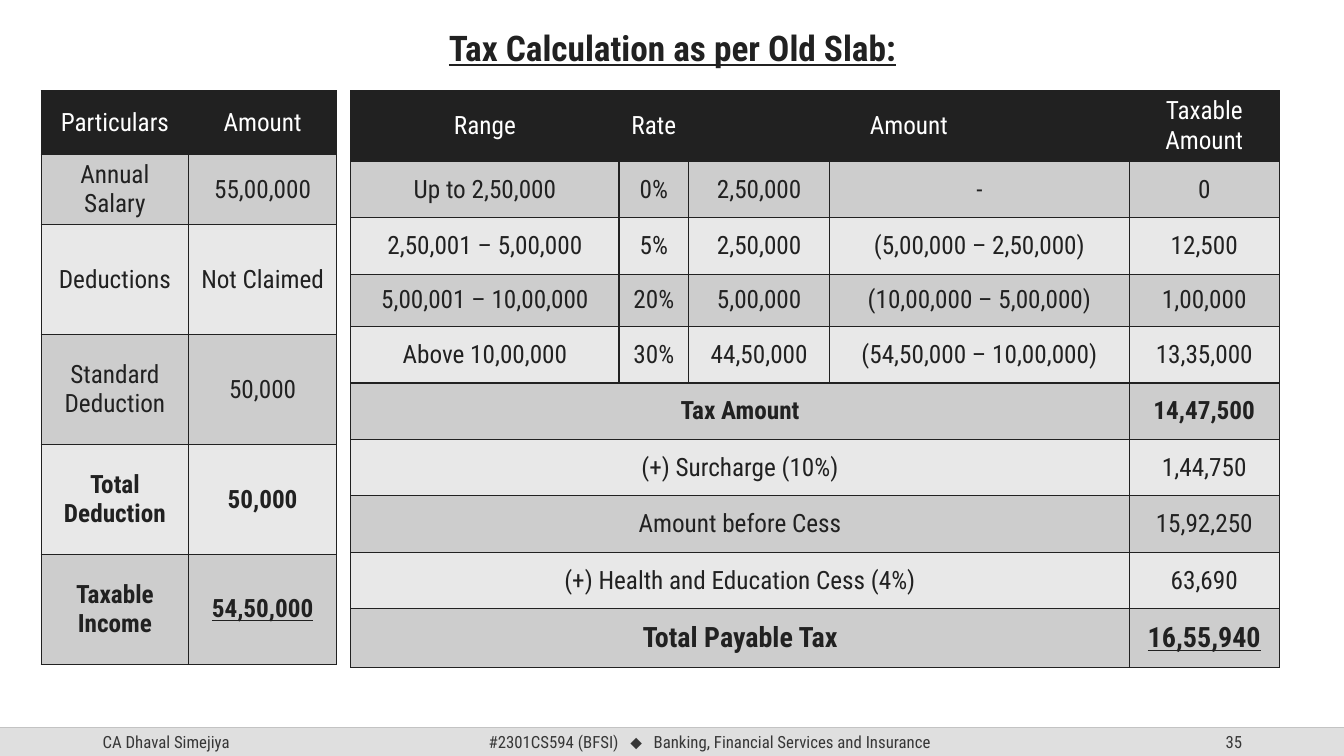
from dataclasses import dataclass

from lxml import etree
from pptx import Presentation
from pptx.dml.color import RGBColor
from pptx.enum.shapes import MSO_CONNECTOR, MSO_SHAPE
from pptx.enum.text import MSO_ANCHOR, MSO_AUTO_SIZE, PP_ALIGN
from pptx.oxml.ns import qn
from pptx.util import Inches, Pt

LEFT, CENTER, RIGHT = PP_ALIGN.LEFT, PP_ALIGN.CENTER, PP_ALIGN.RIGHT
MIDDLE, BOTTOM = MSO_ANCHOR.MIDDLE, MSO_ANCHOR.BOTTOM
NO_AUTOFIT = MSO_AUTO_SIZE.NONE
RECTANGLE, STRAIGHT = MSO_SHAPE.RECTANGLE, MSO_CONNECTOR.STRAIGHT

WIDTH, HEIGHT = 13.33, 7.5
MARGIN = 0.92
TABLE_TOP = 0.9
FOOTER_HEIGHT = 0.28
FOOTER_TOP = HEIGHT - FOOTER_HEIGHT


@dataclass(frozen=True)
class Theme:
    font: str = "Roboto Condensed"
    symbol_font: str = "Arial"
    ink: str = "212121"
    white: str = "FFFFFF"
    dark_band: str = "CDCDCD"
    light_band: str = "E8E8E8"
    footer_fill: str = "DFDFDF"
    footer_ink: str = "373737"
    footer_line: str = "BFBFBF"
    title_size: float = 25.2
    body_size: float = 18
    total_size: float = 20
    footer_size: float = 12


THEME = Theme()

INCOME_COLUMNS = [1.46, 1.47]
INCOME_HEIGHTS = [0.63] * 2 + [1.09] * 4
INCOME_ROWS = [
    ["Particulars", "Amount"],
    ["Annual Salary", "55,00,000"],
    ["Deductions", "Not Claimed"],
    ["Standard Deduction", "50,000"],
    ["Total Deduction", "50,000"],
    ["Taxable Income", "54,50,000"],
]

# None continues the cell on its left.
TAX_COLUMNS = [2.66, 0.69, 1.4, 2.97, 1.49]
TAX_HEIGHTS = [0.68, 0.56, 0.56, 0.52] + [0.56] * 5 + [0.58]
TAX_ROWS = [
    ["Range", "Rate", "Amount", None, "Taxable Amount"],
    ["Up to 2,50,000", "0%", "2,50,000", "-", "0"],
    ["2,50,001 – 5,00,000", "5%", "2,50,000", "(5,00,000 – 2,50,000)", "12,500"],
    ["5,00,001 – 10,00,000", "20%", "5,00,000", "(10,00,000 – 5,00,000)", "1,00,000"],
    ["Above 10,00,000", "30%", "44,50,000", "(54,50,000 – 10,00,000)", "13,35,000"],
    ["Tax Amount", None, None, None, "14,47,500"],
    ["(+) Surcharge (10%)", None, None, None, "1,44,750"],
    ["Amount before Cess", None, None, None, "15,92,250"],
    ["(+) Health and Education Cess (4%)", None, None, None, "63,690"],
    ["Total Payable Tax", None, None, None, "16,55,940"],
]


def color(value):
    return RGBColor.from_string(value)


def box(left, top, width, height):
    return [Inches(length) for length in (left, top, width, height)]


def format_run(run, size, ink, bold=False, underline=False, font=THEME.font):
    run.font.name = font
    run.font.size = Pt(size)
    run.font.color.rgb = color(ink)
    run.font.bold = bold
    run.font.underline = underline


def add_title(slide, text):
    title = slide.shapes.title
    title.left, title.top, title.width, title.height = box(MARGIN, 0, 11.5, 0.69)
    frame = title.text_frame
    frame.text = text
    frame.auto_size = NO_AUTOFIT
    frame.vertical_anchor = BOTTOM
    frame.margin_bottom = 0
    paragraph = frame.paragraphs[0]
    paragraph.alignment = CENTER
    paragraph.line_spacing = 0.9
    format_run(paragraph.runs[0], THEME.title_size, THEME.ink, True, True)


def add_borders(cell):
    properties = cell._tc.get_or_add_tcPr()
    for side in ("a:lnL", "a:lnR", "a:lnT", "a:lnB"):
        line = etree.SubElement(properties, qn(side), w=str(Pt(1)))
        fill = etree.SubElement(line, qn("a:solidFill"))
        etree.SubElement(fill, qn("a:srgbClr"), val=THEME.ink)


def band_color(row):
    if row == 0:
        return THEME.ink
    return THEME.dark_band if row % 2 else THEME.light_band


def merge_continued(table, row, texts):
    start = 0
    for column in range(1, len(texts) + 1):
        if column == len(texts) or texts[column] is not None:
            if column - start > 1:
                table.cell(row, start).merge(table.cell(row, column - 1))
            start = column


def add_banded_table(slide, left, columns, heights, rows, bold_rows, total_size):
    """Draw a table whose last row is a total with an underlined amount."""
    frame = slide.shapes.add_table(
        len(rows), len(columns), *box(left, TABLE_TOP, sum(columns), sum(heights)))
    table = frame.table
    for column, width in zip(table.columns, columns):
        column.width = Inches(width)
    last_row, last_column = len(rows) - 1, len(columns) - 1
    for row, texts in enumerate(rows):
        table.rows[row].height = Inches(heights[row])
        merge_continued(table, row, texts)
        for column, text in enumerate(texts):
            cell = table.cell(row, column)
            add_borders(cell)
            cell.fill.solid()
            cell.fill.fore_color.rgb = color(band_color(row))
            cell.vertical_anchor = MIDDLE
            if text is None:
                continue
            cell.text_frame.text = text
            paragraph = cell.text_frame.paragraphs[0]
            paragraph.alignment = CENTER
            format_run(
                paragraph.runs[0],
                total_size if row == last_row else THEME.body_size,
                THEME.ink if row else THEME.white,
                bold=row in bold_rows,
                underline=(row, column) == (last_row, last_column))


def add_footer_bar(slide):
    line = slide.shapes.add_connector(
        STRAIGHT, 0, Inches(FOOTER_TOP), Inches(WIDTH), Inches(FOOTER_TOP))
    line.line.color.rgb = color(THEME.footer_line)
    line.line.width = Pt(1)
    etree.SubElement(line._element.spPr, qn("a:effectLst"))
    bar = slide.shapes.add_shape(RECTANGLE, *box(0, FOOTER_TOP, WIDTH, FOOTER_HEIGHT))
    bar.shadow.inherit = False
    bar.fill.solid()
    bar.fill.fore_color.rgb = color(THEME.footer_fill)
    bar.line.fill.background()


def add_footer_text(slide, left, width, alignment, *parts):
    """Write the parts in one line, with a diamond between them."""
    shape = slide.shapes.add_textbox(*box(left, FOOTER_TOP, width, FOOTER_HEIGHT))
    frame = shape.text_frame
    frame.word_wrap = True
    frame.vertical_anchor = MIDDLE
    paragraph = frame.paragraphs[0]
    paragraph.alignment = alignment
    for index, part in enumerate(parts):
        for text in ([" ", "⬥", " "] if index else []) + [part]:
            run = paragraph.add_run()
            run.text = text
            font = THEME.symbol_font if text == "⬥" else THEME.font
            format_run(run, THEME.footer_size, THEME.footer_ink, font=font)
            if text == " ":
                run.font._element.set("spc", "550")


def main():
    presentation = Presentation()
    presentation.slide_width = Inches(WIDTH)
    presentation.slide_height = Inches(HEIGHT)
    slide = presentation.slides.add_slide(presentation.slide_layouts[5])
    add_footer_bar(slide)
    add_footer_text(slide, 9.42, 3, RIGHT, "35")
    add_footer_text(slide, 4.42, 5.24, CENTER,
                    "#2301CS594 (BFSI)", "Banking, Financial Services and Insurance")
    add_footer_text(slide, MARGIN, 3, LEFT, "CA Dhaval Simejiya")
    add_title(slide, "Tax Calculation as per Old Slab:")
    add_banded_table(slide, 0.41, INCOME_COLUMNS, INCOME_HEIGHTS, INCOME_ROWS,
                     (4, 5), THEME.body_size)
    add_banded_table(slide, 3.48, TAX_COLUMNS, TAX_HEIGHTS, TAX_ROWS,
                     (5, 9), THEME.total_size)
    presentation.save("out.pptx")


if __name__ == "__main__":
    main()
